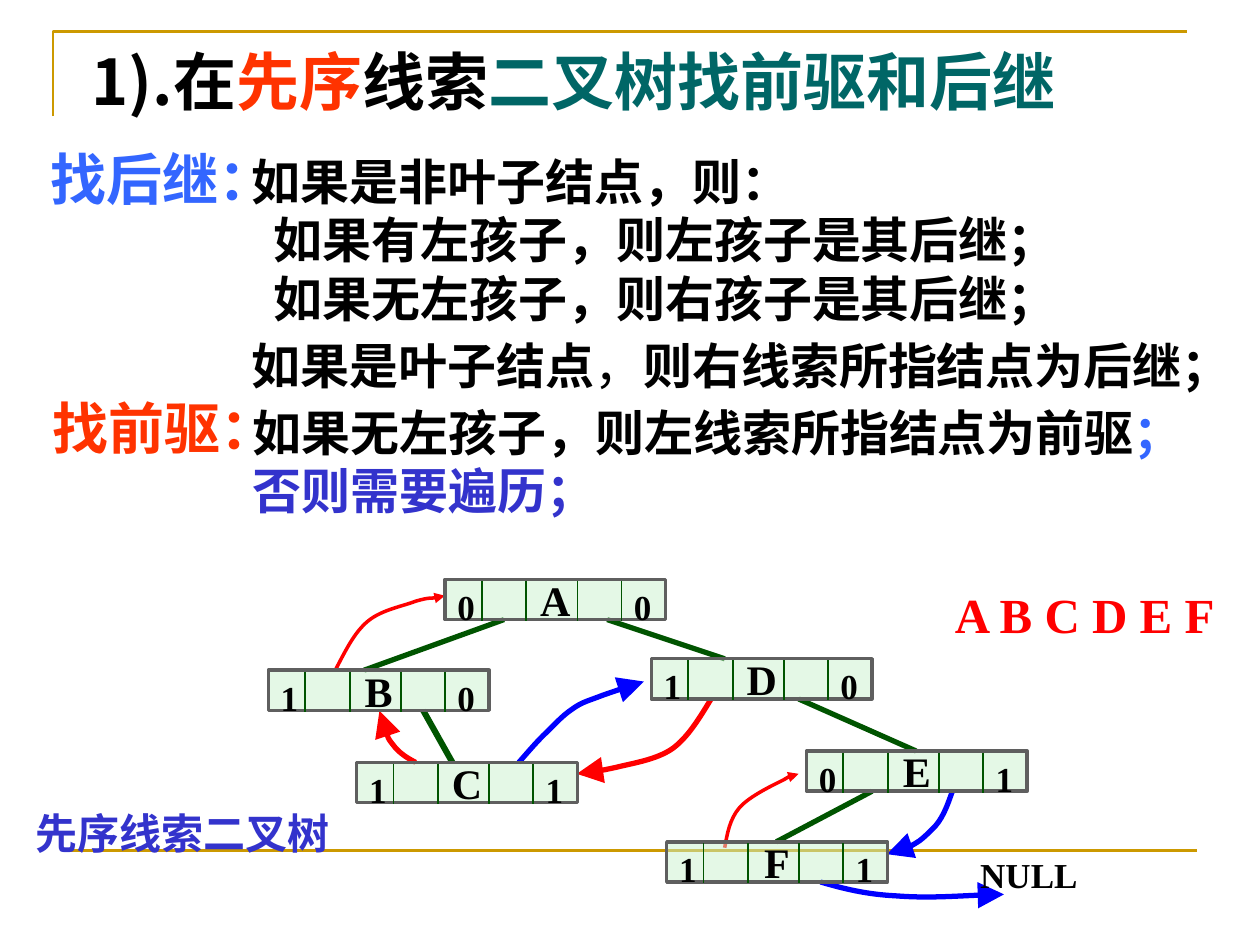
from lxml import etree
from pptx import Presentation
from pptx import util as u
from pptx.dml.color import RGBColor
from pptx.enum import shapes, text
from pptx.oxml.ns import qn

BLACK = RGBColor(0x00, 0x00, 0x00)
RED = RGBColor(0xFF, 0x00, 0x00)
BLUE = RGBColor(0x00, 0x00, 0xFF)
ORANGE = RGBColor(0xFF, 0x33, 0x00)
TEAL = RGBColor(0x00, 0x66, 0x66)
SKY = RGBColor(0x33, 0x66, 0xFF)
INDIGO = RGBColor(0x33, 0x33, 0xCC)
GOLD = RGBColor(0xCC, 0x99, 0x00)
GREEN = RGBColor(0x00, 0x54, 0x00)
MINT = RGBColor(0xCA, 0xF2, 0xCE)
GRAY = RGBColor(0x5F, 0x5F, 0x5F)

SANS = "Noto Sans CJK SC"
SERIF = "Times New Roman"

INDENTED = {"left": 0.44}
HANGING = {"left": 0.97, "first": -0.97, "line_spacing": 1.25}
RAISED = {"space_before": u.Pt(4.6)}

TEXTS = [
    ((4.83, 2.92, 21.13, 5.18), SANS, 28, [
        ([("如果是非叶子结点，则：", BLACK)], {}),
        ([("如果有左孩子，则左孩子是其后继；", BLACK)], INDENTED),
        ([("如果无左孩子，则右孩子是其后继；", BLACK)], INDENTED),
        ([("如果是叶子结点", BLACK), ("，", BLACK, False),
          ("则右线索所指结点为后继；", BLACK)], RAISED),
    ]),
    ((4.85, 7.98, 19.94, 2.64), SANS, 28, [
        ([("如果无左孩子，则左线索所指结点为前驱", BLACK), ("；", SKY)], {}),
        ([("否则需要遍历；", INDIGO)], {}),
    ]),
    ((19.51, 17.09, 2.51, 1.12), SERIF, 20, [([("NULL", BLACK)], {})]),
    ((0.46, 16.15, 7.37, 1.27), SERIF, 24, [([("先序线索二叉树", INDIGO)], {})]),
    ((19.0, 11.66, 6.4, 1.45), SERIF, 28, [([("A B C D E F", RED)], {})]),
    ((0.76, 2.79, 5.31, 1.63), SANS, 32, [([("找后继：", SKY)], {})]),
    ((0.81, 7.8, 5.41, 1.63), SANS, 32, [([("找前驱：", ORANGE)], {})]),
    ((1.6, 0.36, 20.47, 2.39), SANS, 36, [
        ([("1).在", BLACK), ("先序", ORANGE), ("线索", BLACK),
          ("二叉树找前驱和后继", TEAL)], HANGING),
    ]),
]

NODE_WIDTH, NODE_HEIGHT = 4.45, 0.81
DIVIDERS = (0.74, 1.64, 2.67, 3.56)
TAG_WIDTH, TAG_HEIGHT = 0.89, 1.12
NODES = {
    "A": (8.97, 11.68, "0", "0"),
    "B": (5.41, 13.51, "1", "0"),
    "D": (13.13, 13.28, "1", "0"),
    "C": (7.19, 15.37, "1", "1"),
    "E": (16.26, 15.14, "0", "1"),
    "F": (13.44, 16.97, "1", "1"),
}
EDGES = [
    ("A", 1.19, "B", 1.93, 3),
    ("A", 3.27, "D", 1.48, 3),
    ("B", 3.12, "C", 1.93, 3.5),
    ("D", 2.97, "E", 2.21, 3),
    ("E", 1.32, "F", 2.21, 3),
]
THREADS = [
    (BLUE, 3, "lg", [(10.46, 15.37), (10.62, 15.19), (10.77, 15.01), (10.95, 14.83),
                     (11.13, 14.66), (11.33, 14.43), (11.53, 14.3),
                     (11.73, 14.15), (11.89, 14.12), (12.14, 14.02),
                     (12.37, 13.94), (12.67, 13.84), (12.98, 13.74)]),
    (RED, 2, "med", [(6.76, 13.51), (6.96, 13.13), (7.14, 12.75), (7.42, 12.52),
                     (7.7, 12.29), (8.13, 12.22), (8.38, 12.12),
                     (8.66, 12.04), (8.86, 12.07), (8.97, 12.01)]),
    (RED, 2, "med", [(14.61, 17.09), (14.66, 16.81), (14.71, 16.51), (14.91, 16.28),
                     (15.11, 16.05), (15.6, 15.82), (15.8, 15.72),
                     (16.0, 15.6), (16.05, 15.6), (16.1, 15.6)]),
    (RED, 3, "lg", [(14.33, 14.1), (14.1, 14.48), (13.87, 14.86), (13.56, 15.09),
                    (13.23, 15.32), (12.73, 15.39), (12.42, 15.47),
                    (12.09, 15.54), (11.76, 15.6), (11.63, 15.6)]),
    (BLUE, 3, "lg", [(19.2, 15.95), (19.1, 16.23), (19.0, 16.54), (18.77, 16.74),
                     (18.54, 16.97), (18.11, 17.25), (17.88, 17.22)]),
    (BLUE, 3, "lg", [(16.54, 17.78), (16.99, 17.91), (17.45, 18.03), (18.06, 18.06),
                     (18.69, 18.11), (19.91, 18.03), (20.24, 18.03)]),
    (RED, 3, "lg", [(8.38, 15.37), (8.23, 15.29), (8.05, 15.19), (7.92, 15.01),
                    (7.8, 14.86), (7.72, 14.58), (7.65, 14.33)]),
]


def set_line(shape, color, width):
    shape.line.color.rgb = color
    shape.line.width = u.Pt(width)


def write_run(paragraph, content, font_name, size, color, bold=True):
    run = paragraph.add_run()
    run.text = content
    for name, value in {"name": font_name, "size": u.Pt(size), "bold": bold}.items():
        setattr(run.font, name, value)
    run.font.color.rgb = color
    etree.SubElement(run.font._element, qn("a:ea"), typeface=SANS)


def add_text(slide, place, font_name, size, paragraphs):
    frame = slide.shapes.add_textbox(*map(u.Cm, place)).text_frame
    frame.word_wrap = True
    for index, (runs, layout) in enumerate(paragraphs):
        paragraph = frame.add_paragraph() if index else frame.paragraphs[0]
        properties = paragraph._p.get_or_add_pPr()
        for name, value in layout.items():
            if name == "left":
                properties.set("marL", str(u.Cm(value)))
            elif name == "first":
                properties.set("indent", str(u.Cm(value)))
            else:
                setattr(paragraph, name, value)
        for content, *style in runs:
            write_run(paragraph, content, font_name, size, *style)


def add_line(slide, ends, color, width):
    line = slide.shapes.add_connector(shapes.MSO_CONNECTOR.STRAIGHT, *map(u.Cm, ends))
    set_line(line, color, width)
    etree.SubElement(line._element.spPr, qn("a:effectLst"))


def add_outline(slide, points, color, width):
    corners = [(u.Cm(x), u.Cm(y)) for x, y in points]
    builder = slide.shapes.build_freeform(*corners[0])
    builder.add_line_segments(corners[1:], close=False)
    shape = builder.convert_to_shape()
    shape.shadow.inherit = False
    shape.fill.background()
    set_line(shape, color, width)
    return shape


def add_thread(slide, color, width, head, points):
    shape = add_outline(slide, points, color, width)
    segments = list(shape._element.iter(qn("a:lnTo")))
    for start in range(0, len(segments), 3):
        curve = etree.Element(qn("a:cubicBezTo"))
        segments[start].addprevious(curve)
        for segment in segments[start:start + 3]:
            curve.append(segment[0])
            segment.getparent().remove(segment)
    etree.SubElement(shape.line._get_or_add_ln(), qn("a:tailEnd"),
                     type="triangle", w=head, len=head)


def add_node(slide, label, left, top, left_tag, right_tag):
    box = slide.shapes.add_shape(shapes.MSO_SHAPE.RECTANGLE,
                                 *map(u.Cm, (left, top, NODE_WIDTH, NODE_HEIGHT)))
    box.shadow.inherit = False
    box.fill.solid()
    box.fill.fore_color.rgb = MINT
    mint = box._element.spPr.find(qn("a:solidFill"))[0]
    etree.SubElement(mint, qn("a:alpha"), val="50000")
    set_line(box, GRAY, 2)
    frame = box.text_frame
    frame.word_wrap = False
    frame.vertical_anchor = text.MSO_ANCHOR.MIDDLE
    paragraph = frame.paragraphs[0]
    paragraph.alignment = text.PP_ALIGN.CENTER
    write_run(paragraph, label, SERIF, 24, BLACK)
    for offset in DIVIDERS:
        x, y = left + offset, top + 0.03
        add_line(slide, (x, y, x, y + NODE_HEIGHT), GREEN, 1)
    for x, tag in ((left, left_tag), (left + NODE_WIDTH - TAG_WIDTH, right_tag)):
        add_text(slide, (x, top, TAG_WIDTH, TAG_HEIGHT), SERIF, 20, [([(tag, BLACK)], {})])


def main():
    presentation = Presentation()
    presentation.slide_width, presentation.slide_height = u.Cm(25.4), u.Cm(19.05)
    slide = presentation.slides.add_slide(presentation.slide_layouts[6])
    add_outline(slide, [(1.07, 2.34), (1.07, 0.64), (23.93, 0.64)], GOLD, 1.5)
    add_line(slide, (1.27, 17.15, 24.13, 17.15), GOLD, 1.5)
    for parent, start, child, end, width in EDGES:
        x1, y1 = NODES[parent][:2]
        x2, y2 = NODES[child][:2]
        add_line(slide, (x1 + start, y1 + NODE_HEIGHT, x2 + end, y2), GREEN, width)
    for thread in THREADS:
        add_thread(slide, *thread)
    for label, node in NODES.items():
        add_node(slide, label, *node)
    for block in TEXTS:
        add_text(slide, *block)
    presentation.save("out.pptx")


if __name__ == "__main__":
    main()
